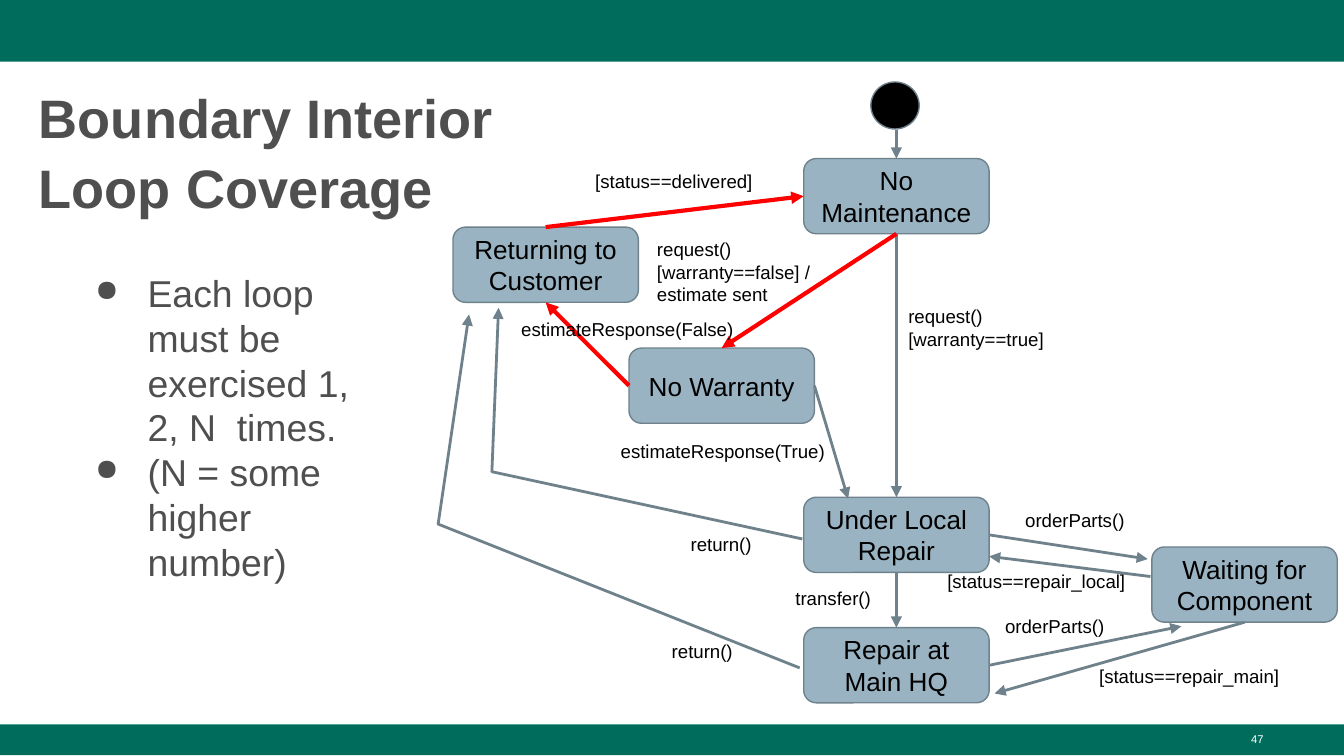
from lxml.etree import SubElement
from pptx import Presentation
from pptx.dml.color import RGBColor
from pptx.enum.shapes import MSO_CONNECTOR, MSO_SHAPE
from pptx.enum.text import MSO_ANCHOR, PP_ALIGN
from pptx.oxml.ns import qn
from pptx.util import Inches, Pt

GREEN = RGBColor(0x00, 0x6C, 0x5C)
TEXT = RGBColor(0x4F, 0x4F, 0x4F)
BLUE = RGBColor(0x99, 0xB3, 0xC2)
GREY = RGBColor(0x6F, 0x82, 0x8C)
RED = RGBColor(0xFF, 0x00, 0x00)
BLACK = RGBColor(0x00, 0x00, 0x00)
WHITE = RGBColor(0xFF, 0xFF, 0xFF)

TOP, LEFT, BOTTOM, RIGHT = range(4)
NODE_W, NODE_H = 1.38, 0.56

TITLE = ["Boundary Interior", "Loop Coverage"]
BULLETS = [
    "Each loop must be exercised 1, 2, N  times.",
    "(N = some higher number)",
]
BARS = [(0, 0.46), (5.39, 0.23)]  # top, height

# State name: left, top
STATES = {
    "No Maintenance": (5.98, 1.18),
    "No Warranty": (4.68, 2.59),
    "Under Local Repair": (5.98, 3.7),
    "Returning to Customer": (3.37, 1.69),
    "Repair at Main HQ": (5.98, 4.67),
    "Waiting for Component": (8.57, 4.07),
}

# Each end is a (state, side) pair or a free (x, y) point
GREY_LINKS = [
    ((6.67, 0.97), ("No Maintenance", TOP)),
    (("No Maintenance", BOTTOM), ("Under Local Repair", TOP)),
    (("No Warranty", RIGHT), (6.31, 3.71)),
    (("Under Local Repair", BOTTOM), ("Repair at Main HQ", TOP)),
    (("Under Local Repair", RIGHT), (8.54, 4.16)),
    ((8.56, 4.29), (7.36, 4.14)),
    (("Repair at Main HQ", RIGHT), (8.79, 4.66)),
    (("Waiting for Component", BOTTOM), (7.4, 5.16)),
]
RED_LINKS = [
    (("No Maintenance", BOTTOM), ("No Warranty", TOP)),
    (("No Warranty", LEFT), ("Returning to Customer", BOTTOM)),
    (("Returning to Customer", TOP), ("No Maintenance", LEFT)),
]
RETURNS = [
    [(5.97, 4.01), (3.66, 3.51), (3.71, 2.29)],
    [(5.95, 4.97), (3.26, 3.9), (3.49, 2.34)],
]

# Text, left, top, width, height
LABELS = [
    ("request() [warranty==false] / estimate sent", 4.79, 1.67, 1.54, 0.71),
    ("request() [warranty==true]", 6.66, 2.17, 1.54, 0.54),
    ("estimateResponse(True)", 4.52, 3.19, 2.07, 0.37),
    ("estimateResponse(False)", 3.78, 2.28, 1.81, 0.37),
    ("[status==delivered]", 4.33, 1.18, 1.38, 0.37),
    ("transfer()", 5.82, 4.28, 0.93, 0.37),
    ("orderParts()", 7.53, 3.7, 1.04, 0.37),
    ("[status==repair_local]", 6.95, 4.16, 1.86, 0.37),
    ("return()", 5.04, 3.88, 0.93, 0.37),
    ("return()", 4.9, 4.68, 0.93, 0.37),
    ("orderParts()", 7.38, 4.49, 1.04, 0.37),
    ("[status==repair_main]", 8.08, 4.86, 1.86, 0.37),
]

prs = Presentation()
prs.slide_width = Inches(10)
prs.slide_height = prs.slide_width * 9 // 16
slide = prs.slides.add_slide(prs.slide_layouts[6])
shapes = slide.shapes


def style(para, size, color, bold=False, align=PP_ALIGN.LEFT):
    para.alignment = align
    font = para.font
    font.name, font.size, font.bold = "Arial", Pt(size), bold
    font.color.rgb = color


def add_text(lines, box, pad=0.1):
    """Add a wrapping text box and return its paragraphs."""
    frame = shapes.add_textbox(*map(Inches, box)).text_frame
    frame.word_wrap = True
    frame.margin_left = frame.margin_right = Inches(0.1)
    frame.margin_top = frame.margin_bottom = Inches(pad)
    frame.text = "\n".join(lines)
    return frame.paragraphs


def add_solid(kind, box, fill, edge=None):
    shape = shapes.add_shape(kind, *map(Inches, box))
    shape.shadow.inherit = False
    shape.fill.solid()
    shape.fill.fore_color.rgb = fill
    if edge is None:
        shape.line.fill.background()
    else:
        shape.line.color.rgb = edge
        shape.line.width = Pt(0.75)
    return shape


def add_arrow(shape, color, width):
    """Style a line, point its far end and drop its shadow."""
    shape.line.color.rgb = color
    shape.line.width = Pt(width)
    props = shape.element.spPr
    SubElement(props.find(qn("a:ln")), qn("a:tailEnd"), type="triangle")
    SubElement(props, qn("a:effectLst"))


def add_link(start, end, color, width):
    points = [(0, 0) if tip[0] in nodes else tip for tip in (start, end)]
    line = shapes.add_connector(
        MSO_CONNECTOR.STRAIGHT, *(Inches(v) for point in points for v in point))
    for tip, join in ((start, line.begin_connect), (end, line.end_connect)):
        if tip[0] in nodes:
            join(nodes[tip[0]], tip[1])
    add_arrow(line, color, width)


for top, height in BARS:
    add_solid(MSO_SHAPE.RECTANGLE, (0, top, 10, height), GREEN)

for para in add_text(TITLE, (0.19, 0.54, 8.99, 0.73), 0.05):
    para.line_spacing = 1.08
    style(para, 29, TEXT, bold=True)

for para in add_text(BULLETS, (0.5, 1.91, 2.47, 3.21)):
    props = para._p.get_or_add_pPr()
    props.set("marL", str(Inches(0.5)))
    props.set("indent", str(Inches(-0.39)))
    tint = SubElement(props, qn("a:buClr"))
    SubElement(tint, qn("a:srgbClr"), val=str(TEXT))
    SubElement(props, qn("a:buSzPct"), val="80000")
    SubElement(props, qn("a:buChar"), char="●")
    style(para, 20, TEXT)

number = add_text(["47"], (7.17, 5.4, 2.33, 0.23), 0.05)[0]
style(number, 6, WHITE, align=PP_ALIGN.RIGHT)

add_solid(MSO_SHAPE.OVAL, (6.48, 0.61, 0.36, 0.35), BLACK, GREY)

nodes = {}
for name, (left, top) in STATES.items():
    node = add_solid(MSO_SHAPE.ROUNDED_RECTANGLE,
                     (left, top, NODE_W, NODE_H), BLUE, GREY)
    frame = node.text_frame
    frame.word_wrap = True
    frame.vertical_anchor = MSO_ANCHOR.MIDDLE
    frame.margin_left = frame.margin_right = Inches(0.1)
    frame.margin_top = frame.margin_bottom = Inches(0.1)
    frame.text = name
    style(frame.paragraphs[0], 14, BLACK, align=PP_ALIGN.CENTER)
    nodes[name] = node

for links, color, width in ((GREY_LINKS, GREY, 1.5), (RED_LINKS, RED, 2.25)):
    for start, end in links:
        add_link(start, end, color, width)

for points in RETURNS:
    first, *rest = [(Inches(x), Inches(y)) for x, y in points]
    pen = shapes.build_freeform(*first)
    pen.add_line_segments(rest, close=False)
    bend = pen.convert_to_shape()
    bend.fill.background()
    add_arrow(bend, GREY, 1.5)

for text, *box in LABELS:
    style(add_text([text], box)[0], 10, BLACK)

prs.save("out.pptx")
